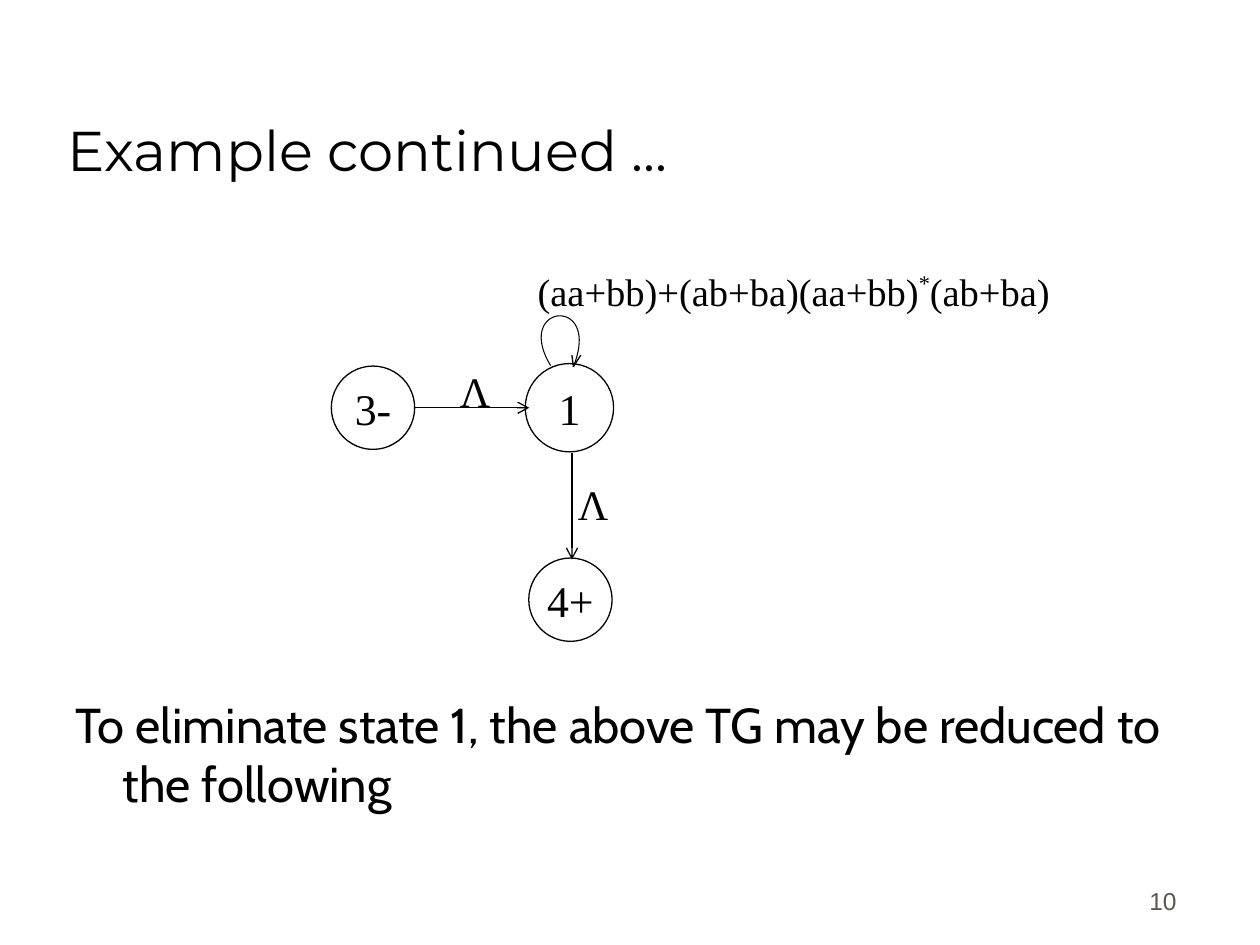
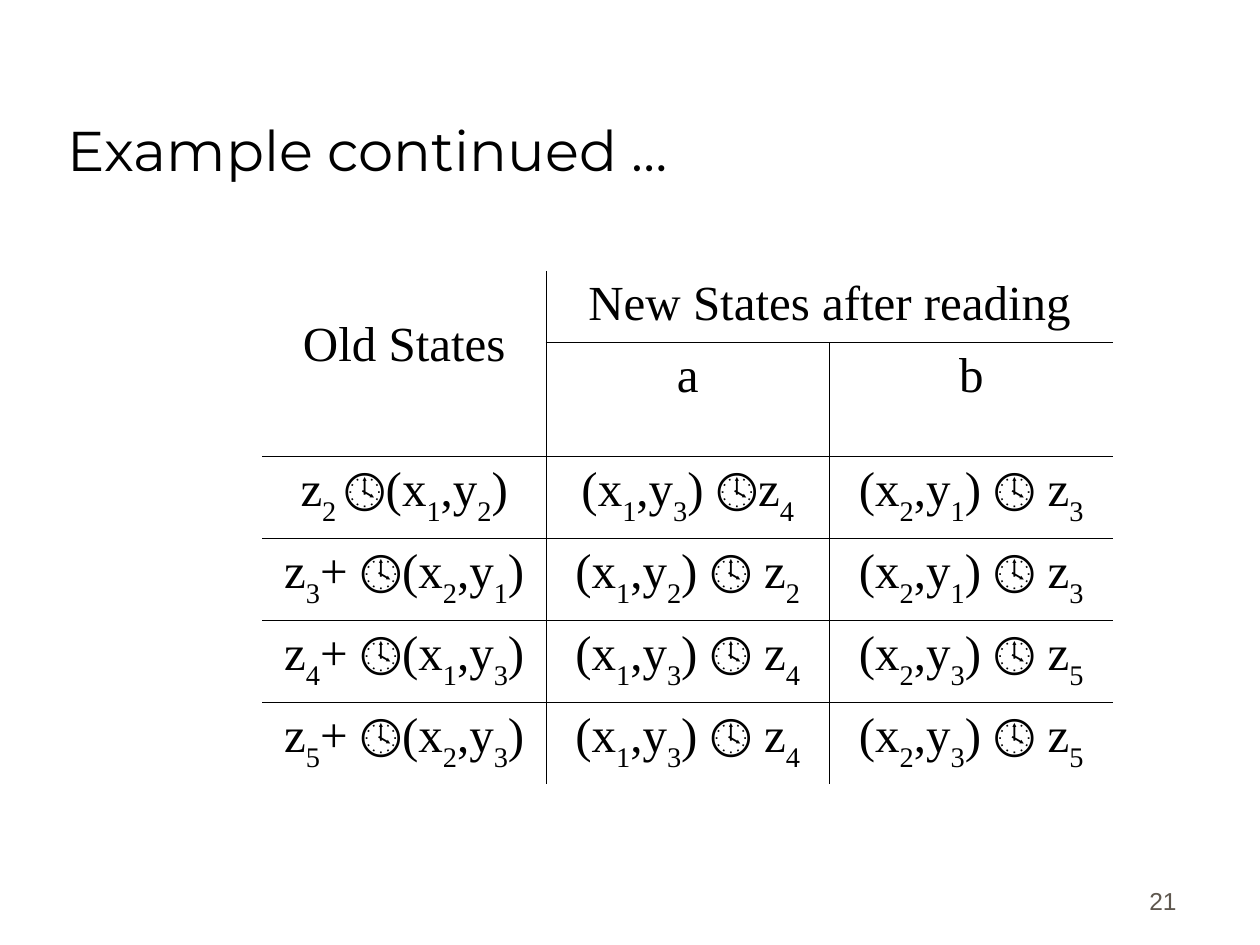
from lxml import etree
from pptx import Presentation
from pptx.dml.color import RGBColor
from pptx.enum import shapes, text
from pptx.oxml import ns
from pptx.util import Cm, Pt

BLACK = RGBColor(0x00, 0x00, 0x00)
WHITE = RGBColor(0xFF, 0xFF, 0xFF)
FOOTER_GREY = RGBColor(0x5E, 0x57, 0x4E)
TITLE_FONT, BODY_FONT, DIAGRAM_FONT, FOOTER_FONT = (
    "Montserrat", "Cabin", "Times New Roman", "Arial")
PLAIN_TABLE = "{2D5ABB26-0587-4C30-8999-92F81FD0307C}"
SHIFT_MARK = "~"
SUBSCRIPT, SUPERSCRIPT = -30000, 40000

TRANSITIONS = [
    ("z~2 ~🕓(x~1~,y~2~)", "(x~1~,y~3~) 🕓z~4~", "(x~2~,y~1~) 🕓 z~3~"),
    ("z~3~+ 🕓(x~2~,y~1~)", "(x~1~,y~2~) 🕓 z~2~", "(x~2~,y~1~) 🕓 z~3~"),
    ("z~4~+ 🕓(x~1~,y~3~)", "(x~1~,y~3~) 🕓 z~4~", "(x~2~,y~3~) 🕓 z~5~"),
    ("z~5~+ 🕓(x~2~,y~3~)", "(x~1~,y~3~) 🕓 z~4~", "(x~2~,y~3~) 🕓 z~5~"),
]


def add_xml(parent, tag, **attributes):
    return etree.SubElement(parent, ns.qn(tag), attributes)


def write(frame, words, font=DIAGRAM_FONT, size=28, color=BLACK,
          align=text.PP_ALIGN.LEFT, anchor=None, shift=SUBSCRIPT):
    if anchor is not None:
        frame.vertical_anchor = anchor
    para = frame.paragraphs[0]
    para.alignment = align
    for index, part in enumerate(words.split(SHIFT_MARK)):
        if not part:
            continue
        span = para.add_run()
        span.text = part
        span.font.name = font
        span.font.size = Pt(size)
        span.font.color.rgb = color
        if index % 2:
            span._r.get_or_add_rPr().set("baseline", str(shift))
    return para


def place(shape, left, top, width, height):
    shape.left, shape.top = Cm(left), Cm(top)
    shape.width, shape.height = Cm(width), Cm(height)


def add_label(page, words, left, top, width, height, wrap=False, **style):
    box = page.shapes.add_textbox(Cm(left), Cm(top), Cm(width), Cm(height))
    box.text_frame.word_wrap = wrap
    write(box.text_frame, words, **style)


def add_page(deck, layout, title, number):
    page = deck.slides.add_slide(deck.slide_layouts[layout])
    place(page.shapes.title, 1.11, 0.64, 21.6, 3.18)
    frame = page.shapes.title.text_frame
    frame.auto_size = text.MSO_AUTO_SIZE.NONE
    write(frame, title, font=TITLE_FONT, size=32,
          anchor=text.MSO_ANCHOR.BOTTOM)
    add_label(page, number, 18.69, 17.3, 5.28, 1.27, wrap=True,
              font=FOOTER_FONT, size=14, color=FOOTER_GREY,
              align=text.PP_ALIGN.RIGHT, anchor=text.MSO_ANCHOR.BOTTOM)
    return page


def fill_body(page, words):
    body = page.placeholders[1]
    place(body, 1.27, 13.87, 22.7, 2.95)
    body.text_frame.auto_size = text.MSO_AUTO_SIZE.NONE
    para = write(body.text_frame, words, font=BODY_FONT)
    para.space_before = Pt(0)
    settings = para._p.get_or_add_pPr()
    settings.set("marL", str(Cm(0.95)))
    settings.set("indent", str(-Cm(0.95)))
    add_xml(settings, "a:buNone")


def add_state(page, name, center_x, center_y, diameter):
    state = page.shapes.add_shape(
        shapes.MSO_SHAPE.OVAL, Cm(center_x - diameter / 2),
        Cm(center_y - diameter / 2), Cm(diameter), Cm(diameter))
    state.shadow.inherit = False
    state.fill.solid()
    state.fill.fore_color.rgb = WHITE
    state.line.color.rgb = BLACK
    state.line.width = Pt(0.75)
    frame = state.text_frame
    frame.word_wrap = False
    frame.margin_left = frame.margin_right = 0
    write(frame, name, size=25, align=text.PP_ALIGN.CENTER,
          anchor=text.MSO_ANCHOR.MIDDLE)


def add_arrow(page, start, end):
    arrow = page.shapes.add_connector(
        shapes.MSO_CONNECTOR.STRAIGHT, *map(Cm, start + end))
    arrow.line.color.rgb = BLACK
    arrow.line.width = Pt(0.75)
    add_xml(arrow.line._get_or_add_ln(), "a:tailEnd", type="arrow")
    add_xml(arrow._element.spPr, "a:effectLst")


def add_outline(page, points, width):
    points = [(Cm(x), Cm(y)) for x, y in points]
    builder = page.shapes.build_freeform(*points[0])
    builder.add_line_segments(points[1:], close=False)
    outline = builder.convert_to_shape()
    outline.shadow.inherit = False
    outline.fill.background()
    outline.line.color.rgb = BLACK
    outline.line.width = Pt(width)


def curve_points(start, pull_out, pull_in, end, steps=40):
    def at(step):
        t = step / steps
        weights = ((1 - t) ** 3, 3 * t * (1 - t) ** 2,
                   3 * t ** 2 * (1 - t), t ** 3)
        controls = zip(start, pull_out, pull_in, end)
        return tuple(sum(w * c for w, c in zip(weights, axis))
                     for axis in controls)
    return [at(step) for step in range(steps + 1)]


def rule_cell(cell, sides):
    settings = cell._tc.get_or_add_tcPr()
    for side in sides:
        line = add_xml(settings, f"a:ln{side}", w=str(Pt(0.45)))
        add_xml(add_xml(line, "a:solidFill"), "a:srgbClr", val=str(BLACK))


def add_state_table(page):
    heights = [1.45, 2.29] + [1.65] * len(TRANSITIONS)
    rows = [("Old States", "New States after reading", ""),
            ("", "a", "b")] + TRANSITIONS
    columns = len(rows[0])
    frame = page.shapes.add_table(len(rows), columns, Cm(5.29), Cm(5.46),
                                  Cm(17.15), Cm(sum(heights)))
    table = frame.table
    table.first_row = table.horz_banding = False
    table._tbl.tblPr.find(ns.qn("a:tableStyleId")).text = PLAIN_TABLE
    for row, height in zip(table.rows, heights):
        row.height = Cm(height)
    table.cell(0, 0).merge(table.cell(1, 0))
    table.cell(0, 1).merge(table.cell(0, 2))
    table.cell(0, 0).margin_top = Cm(0.94)
    for r, row in enumerate(rows):
        for c, words in enumerate(row):
            cell = table.cell(r, c)
            if not cell.is_spanned:
                right = c + (cell.span_width if cell.is_merge_origin else 1)
                bottom = r + (cell.span_height if cell.is_merge_origin else 1)
                inner = {"L": c > 0, "R": right < columns,
                         "T": r > 0, "B": bottom < len(rows)}
                rule_cell(cell, [side for side in inner if inner[side]])
                write(cell.text_frame, words, align=text.PP_ALIGN.CENTER)
            cell.fill.background()


def add_transition_graph(page):
    add_state(page, "1", 11.48, 8.22, 1.78)
    add_state(page, "4+", 11.5, 12.09, 1.68)
    add_state(page, "3-", 7.52, 8.22, 1.68)
    add_outline(page, curve_points((11.1, 7.37), (10.34, 6.12),
                                   (12.14, 5.94), (11.56, 7.39)), 0.6)
    add_outline(page, [(11.53, 7.16), (11.56, 7.39), (11.71, 7.16)], 0.75)
    add_arrow(page, (8.36, 8.22), (10.67, 8.22))
    add_arrow(page, (11.53, 9.14), (11.53, 11.28))
    for left, top in ((9.02, 7.24), (11.4, 9.53)):
        add_label(page, "Λ", left, top, 1.12, 1.27, size=24)
    add_label(page, "(aa+bb)+(ab+ba)(aa+bb)~*~(ab+ba)", 10.59, 5.28, 12.17,
              1.7, wrap=True, size=22, shift=SUPERSCRIPT)


def main():
    deck = Presentation()
    deck.slide_width, deck.slide_height = Cm(25.4), Cm(19.05)
    graph_page = add_page(deck, 1, "Example continued ...", "10")
    fill_body(graph_page, "To eliminate state 1, the above TG may be "
                          "reduced to the following")
    add_transition_graph(graph_page)
    table_page = add_page(deck, 5, "Example continued …", "21")
    add_state_table(table_page)
    deck.save("out.pptx")


if __name__ == "__main__":
    main()
